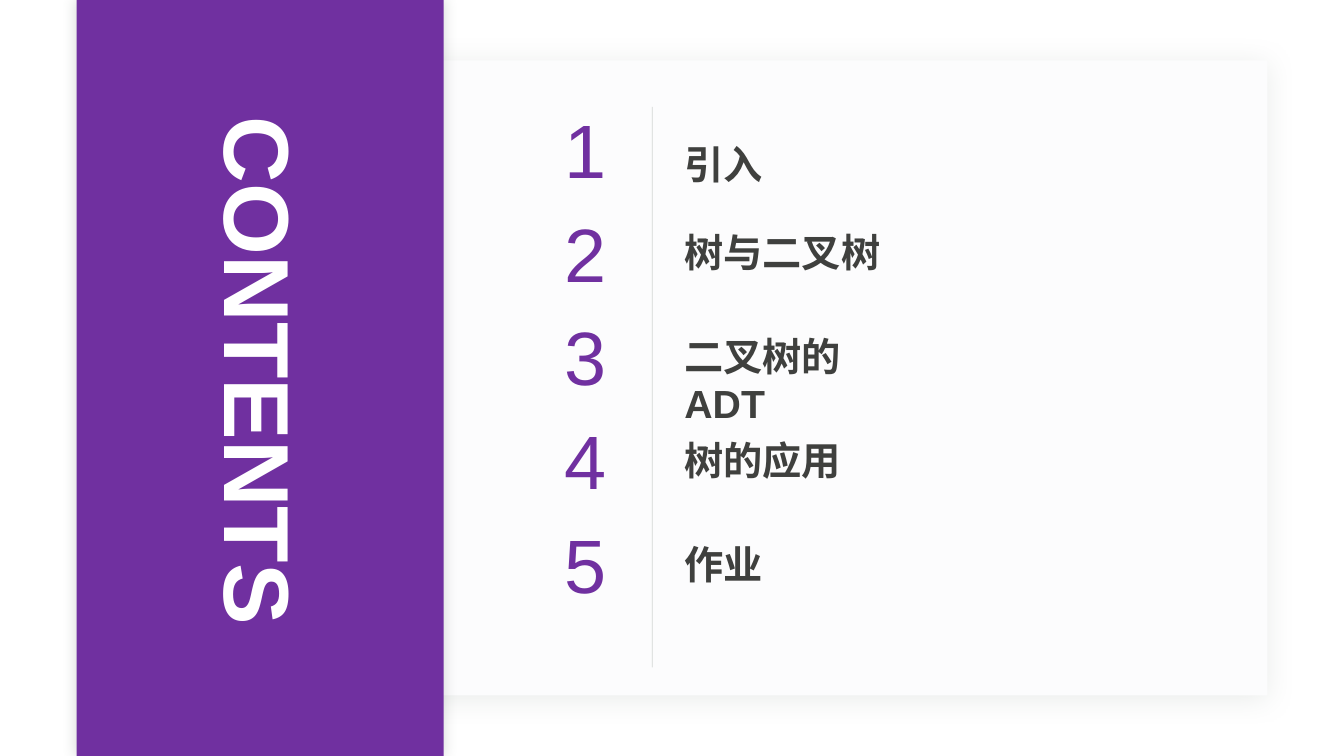
import pptx
import pptx.dml.color
import pptx.enum.shapes
import pptx.enum.text
import pptx.oxml
import pptx.util
from lxml import etree

Inches = pptx.util.Inches
Pt = pptx.util.Pt
ALIGN = pptx.enum.text.PP_ALIGN
COLORS = {"purple": "7030A0", "panel": "FCFCFD", "gray": "969F98", "dark": "3F403E", "white": "FFFFFF"}
DRAWING = "http://schemas.openxmlformats.org/drawingml/2006/main"

presentation = pptx.Presentation()
presentation.slide_width = Inches(13.33)
presentation.slide_height = Inches(7.5)
slide = presentation.slides.add_slide(presentation.slide_layouts[6])


def add_panel(box, color, opacity, blur, distance):
    shape = slide.shapes.add_shape(pptx.enum.shapes.MSO_SHAPE.RECTANGLE, *map(Inches, box))
    shape.fill.solid()
    shape.fill.fore_color.rgb = pptx.dml.color.RGBColor.from_string(COLORS[color])
    shape.line.fill.background()
    shape.shadow.inherit = False
    effects = shape._element.spPr.find(f"{{{DRAWING}}}effectLst")
    effects.append(pptx.oxml.parse_xml(
        f'<a:outerShdw xmlns:a="{DRAWING}" blurRad="{Pt(blur)}" dist="{Pt(distance)}" dir="5400000" '
        f'algn="ctr" rotWithShape="0"><a:srgbClr val="{COLORS["gray"]}">'
        f'<a:alpha val="{opacity * 1000}"/></a:srgbClr></a:outerShdw>'))


def add_text(text, box, size, color, bold=True, wrap=True, align=ALIGN.LEFT):
    shape = slide.shapes.add_textbox(*map(Inches, box))
    shape.text_frame.word_wrap = wrap
    shape.text_frame.auto_size = pptx.enum.text.MSO_AUTO_SIZE.SHAPE_TO_FIT_TEXT
    paragraph = shape.text_frame.paragraphs[0]
    paragraph.alignment = align
    run = paragraph.add_run()
    run.text = text
    for name, value in {"name": "Arial", "size": Pt(size), "bold": bold}.items():
        setattr(run.font, name, value)
    run.font.color.rgb = pptx.dml.color.RGBColor.from_string(COLORS[color])
    return shape


add_panel((2.35, 0.6, 10.22, 6.3), "panel", 20, 20, 3)

divider = slide.shapes.add_connector(
    pptx.enum.shapes.MSO_CONNECTOR.STRAIGHT, Inches(6.47), Inches(1.06), Inches(6.47), Inches(6.62))
divider.line.width = Pt(0.5)
divider.line.color.rgb = pptx.dml.color.RGBColor.from_string(COLORS["gray"])
line_color = divider._element.spPr.find(f".//{{{DRAWING}}}srgbClr")
etree.SubElement(line_color, f"{{{DRAWING}}}alpha", val="40000")
etree.SubElement(divider._element.spPr, f"{{{DRAWING}}}effectLst")

add_panel((0.76, 0, 3.64, 7.5), "purple", 40, 10, 0)
title = add_text("CONTENTS", (-0.11, 3.15, 5.39, 1.21), 66, "white")
title.rotation = 90

chapters = [("引入", 0.99, 0.37), ("树与二叉树", 2.17, 0.22), ("二叉树的ADT", 2.49, 0.22),
            ("树的应用", 1.77, 0.22), ("作业", 0.99, 0.22)]
for index, (chapter, width, offset) in enumerate(chapters):
    top = 0.97 + 1.03 * index
    number = add_text(str(index + 1), (5.5, top, 0.55, 1.01), 54, "purple", False, False, ALIGN.CENTER)
    number.text_frame.paragraphs[0].runs[0].font._element.set("spc", "-300")
    add_text(chapter, (6.69, top + offset, width, 0.57), 28, "dark")

presentation.save("out.pptx")
